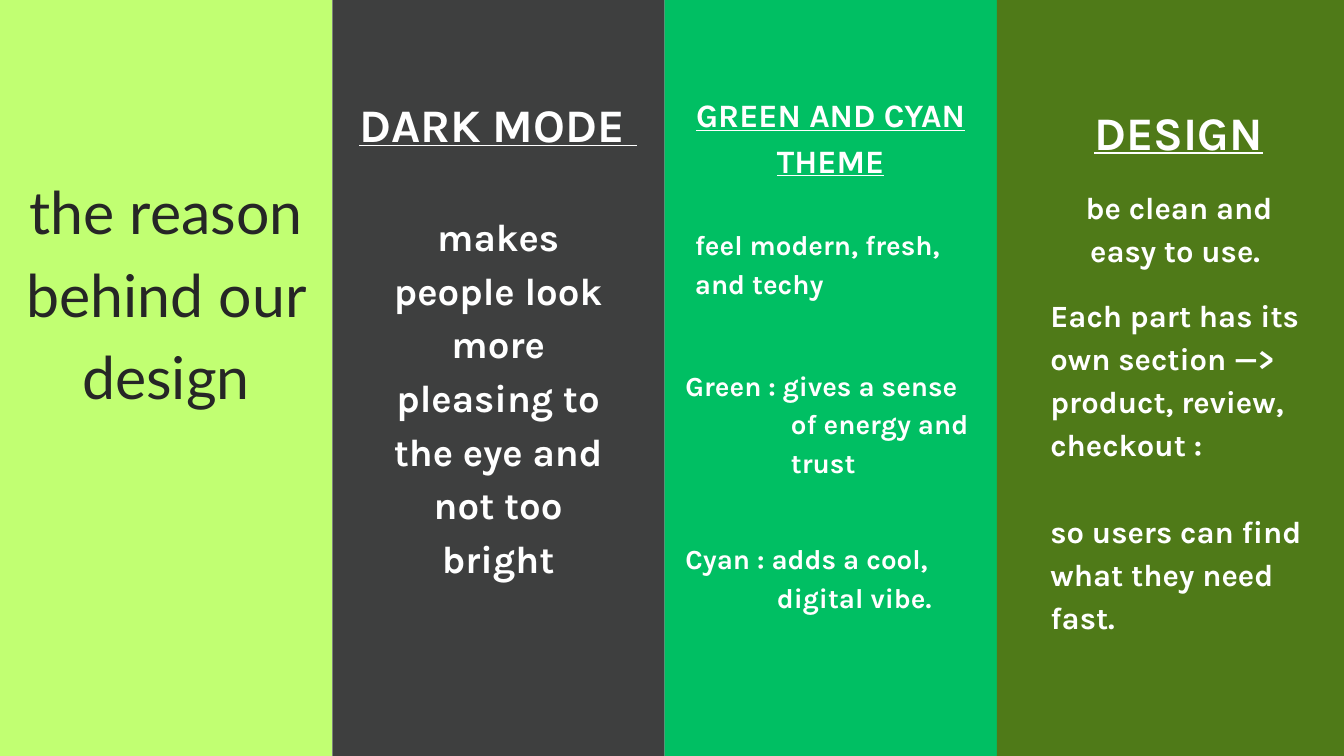
from pptx import Presentation
from pptx.dml.color import RGBColor
from pptx.enum.shapes import MSO_SHAPE as SHAPE
from pptx.enum.text import MSO_AUTO_SIZE as AUTO, PP_ALIGN as ALIGN
from pptx.util import Pt

WIDTH, HEIGHT = 1440, 810
PANEL_W = 356
PANEL_COLORS = ["C1FF72", "3E3F3F", "00BF63", "4F7A18"]


def rgb(color):
    return RGBColor.from_string(color)


class Deck:
    def __init__(self):
        self.prs = Presentation()
        self.prs.slide_width, self.prs.slide_height = Pt(WIDTH), Pt(HEIGHT)
        self.s = self.prs.slides.add_slide(self.prs.slide_layouts[6])

    def panel(self, x, w, color):
        sp = self.s.shapes.add_shape(SHAPE.RECTANGLE, Pt(x), 0, Pt(w), Pt(HEIGHT))
        sp.shadow.inherit = False
        sp.fill.solid()
        sp.fill.fore_color.rgb = rgb(color)
        sp.line.fill.background()

    def text(self, lines, x, y, w, h, size, leading, font="Karla", color="FFFFFF",
             bold=True, underline=False, align=ALIGN.LEFT, indent=0, gap=0):
        """Add a paragraph per line; indent and gap apply after the first."""
        tf = self.s.shapes.add_textbox(Pt(x), Pt(y), Pt(w), Pt(h)).text_frame
        tf.word_wrap = True
        tf.auto_size = AUTO.SHAPE_TO_FIT_TEXT
        tf.margin_left = tf.margin_top = tf.margin_right = tf.margin_bottom = 0
        for i, line in enumerate(lines):
            p = tf.add_paragraph() if i else tf.paragraphs[0]
            p.alignment, p.line_spacing = align, Pt(leading)
            if i and gap:
                p.space_before = Pt(gap)
            if i and indent:
                p._p.get_or_add_pPr().set("marL", str(Pt(indent)))
            r = p.add_run()
            r.text = line
            f = r.font
            f.name, f.size, f.bold, f.underline = font, Pt(size), bold, underline
            f.color.rgb = rgb(color)

    def heading(self, text, x, y, w, h, size=50, leading=70):
        self.text([text], x, y, w, h, size, leading, underline=True, align=ALIGN.CENTER)


def main():
    d = Deck()
    for i, color in enumerate(PANEL_COLORS):
        x = i * PANEL_W
        d.panel(x, WIDTH - x if color == PANEL_COLORS[-1] else PANEL_W, color)

    d.text(["the reason behind our design"], 22.3, 175.7, 311, 441, 63.2, 88.4,
           font="Lato", color="262626", bold=False, align=ALIGN.CENTER)

    d.heading("DARK MODE ", 379.4, 92.9, 309, 67)
    d.text(["makes people look more pleasing to the eye and not too bright"],
           419, 220.3, 229.7, 399, 41.1, 57.5, align=ALIGN.CENTER)

    d.heading("GREEN AND CYAN THEME", 712, 95, 356, 96, size=35, leading=49)
    theme = dict(size=29.6, leading=41.5)
    d.text(["feel modern, fresh, and techy"], 744.5, 238.3, 290, 122, **theme)
    d.text(["Green : gives a sense", "of energy and", "trust"],
           734.4, 388.8, 381, 122, indent=113, **theme)
    d.text(["Cyan : adds a cool,", "digital vibe."],
           734.4, 574.6, 348, 81, indent=98, **theme)

    d.heading("DESIGN", 1157.8, 100.8, 210, 68)
    design = dict(size=33.1, leading=46.3)
    d.text(["be clean and easy to use. "], 1125.4, 195.1, 275.8, 90,
           align=ALIGN.CENTER, **design)
    d.text(["Each part has its own section —> product, review, checkout :",
            "so users can find what they need fast."],
           1125.4, 311, 275.8, 364, gap=46.3, **design)

    d.prs.save("out.pptx")


if __name__ == "__main__":
    main()
